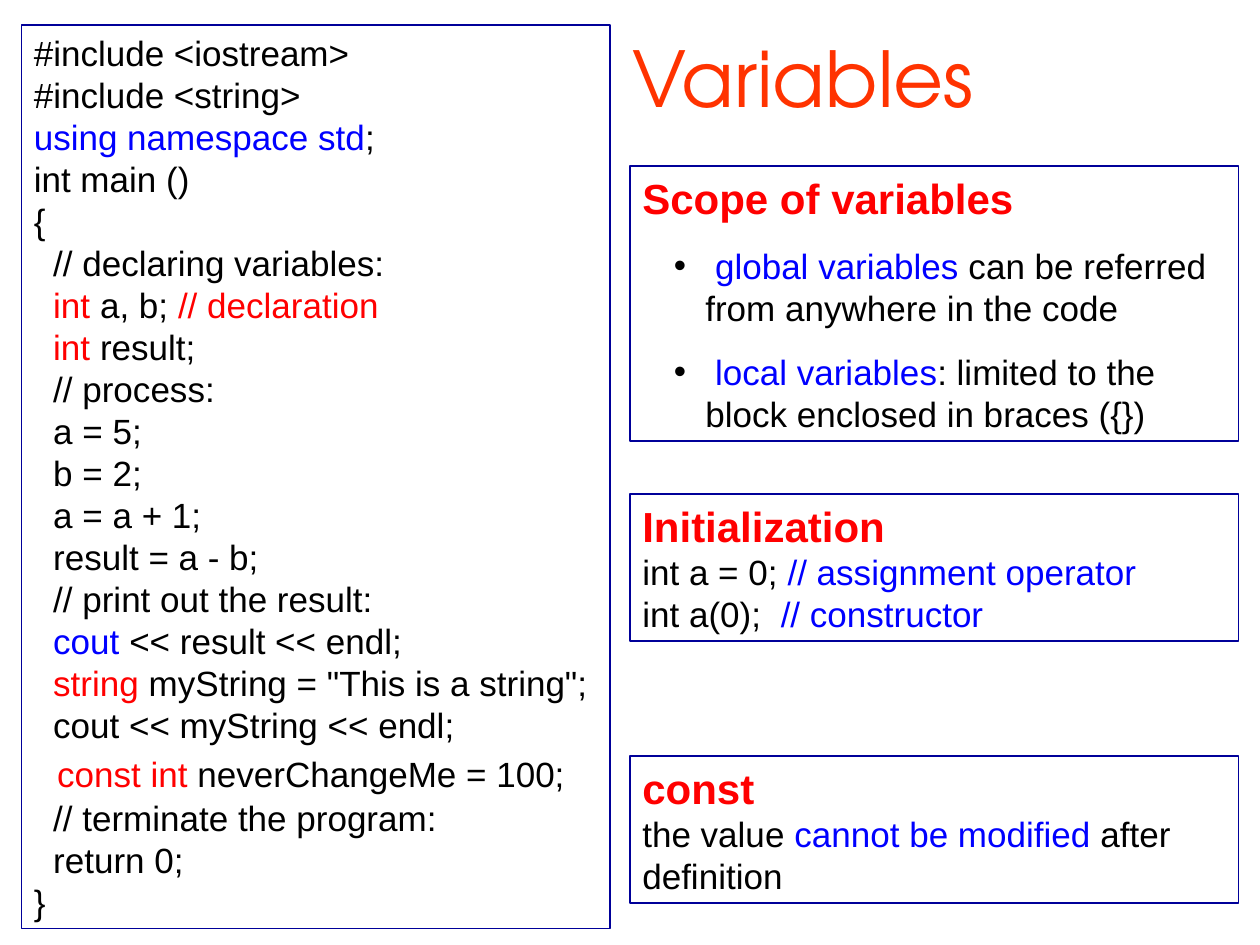
from lxml import etree
from pptx import Presentation
from pptx.dml.color import RGBColor
from pptx.enum.shapes import MSO_SHAPE
from pptx.enum.text import MSO_ANCHOR, MSO_AUTO_SIZE, PP_ALIGN
from pptx.oxml.ns import qn
from pptx.util import Inches, Pt

BLACK = RGBColor(0x00, 0x00, 0x00)
BLUE = RGBColor(0x00, 0x00, 0xFF)
RED = RGBColor(0xFF, 0x00, 0x00)
NAVY = RGBColor(0x00, 0x00, 0x99)
ORANGE = RGBColor(0xFF, 0x33, 0x00)

BODY_SIZE = 20
HEADING_SIZE = 24

# A line is a list of runs: (text, colour) or (text, colour, size).
PROGRAM = [
    [("#include <iostream>", BLACK)],
    [("#include <string>", BLACK)],
    [("using namespace std", BLUE), (";", BLACK)],
    [("int main ()", BLACK)],
    [("{", BLACK)],
    [("  // declaring variables:", BLACK)],
    [("  int ", RED), ("a, b; ", BLACK), ("// declaration", RED)],
    [("  int", RED), (" result;", BLACK)],
    [("  // process:", BLACK)],
    [("  a = 5;", BLACK)],
    [("  b = 2;", BLACK)],
    [("  a = a + 1;", BLACK)],
    [("  result = a - b;", BLACK)],
    [("  // print out the result:", BLACK)],
    [("  cout", BLUE), (" << result << endl;", BLACK)],
    [("  string", RED), (' myString = "This is a string";', BLACK)],
    [("  cout << myString << endl;", BLACK)],
    [("  ", BLACK, HEADING_SIZE), ("const int", RED), (" neverChangeMe = 100;", BLACK)],
    [("  // terminate the program:", BLACK)],
    [("  return 0;", BLACK)],
    [("}", BLACK)],
]
SCOPE = [
    [(" ", BLACK), ("global variables", BLUE),
     (" can be referred from anywhere in the code", BLACK)],
    [(" ", BLACK), ("local variables", BLUE),
     (": limited to the block enclosed in braces ({})", BLACK)],
]
INITIALIZATION = [
    [("int a = 0; ", BLACK), ("// assignment operator", BLUE)],
    [("int a(0);  ", BLACK), ("// constructor", BLUE)],
]
CONSTANT = [
    [("the value ", BLACK), ("cannot be modified", BLUE), (" after definition", BLACK)],
]


class SlideBuilder:
    font = "Arial"
    title_font = "TeX Gyre Adventor"

    def __init__(self, slide):
        self.slide = slide

    def title(self, text, left, top, width, height):
        box = self.slide.shapes.add_textbox(
            Inches(left), Inches(top), Inches(width), Inches(height))
        frame = box.text_frame
        frame.word_wrap = True
        frame.vertical_anchor = MSO_ANCHOR.MIDDLE
        frame.text = text
        font = frame.paragraphs[0].runs[0].font
        font.name, font.size = self.title_font, Pt(44)
        font.color.rgb = ORANGE

    def frame(self, left, top, width, height, anchor=MSO_ANCHOR.TOP):
        """Draw an outlined box and return its empty text frame."""
        box = self.slide.shapes.add_shape(
            MSO_SHAPE.RECTANGLE, Inches(left), Inches(top), Inches(width), Inches(height))
        box.shadow.inherit = False
        box.fill.background()
        box.line.color.rgb = NAVY
        box.line.width = Pt(1)
        text_frame = box.text_frame
        text_frame.word_wrap = True
        text_frame.auto_size = MSO_AUTO_SIZE.SHAPE_TO_FIT_TEXT
        text_frame.vertical_anchor = anchor
        return text_frame

    def line(self, paragraph, runs, bold=False):
        paragraph.alignment = PP_ALIGN.LEFT
        for text, color, *size in runs:
            run = paragraph.add_run()
            run.text = text
            font = run.font
            font.name, font.bold = self.font, bold
            font.size = Pt(size[0] if size else BODY_SIZE)
            font.color.rgb = color

    def bullet(self, paragraph):
        paragraph.level = 1
        paragraph.space_before = Pt(12.5)
        properties = paragraph._p.get_or_add_pPr()
        properties.set("marL", str(Inches(0.5)))
        properties.set("indent", str(Inches(-0.25)))
        bullet_color = etree.SubElement(properties, qn("a:buClr"))
        etree.SubElement(bullet_color, qn("a:srgbClr"), val=str(BLACK))
        etree.SubElement(properties, qn("a:buFont"), typeface=self.font)
        etree.SubElement(properties, qn("a:buChar"), char="•")

    def code(self, lines, left, top, width, height):
        text_frame = self.frame(left, top, width, height, MSO_ANCHOR.MIDDLE)
        for index, runs in enumerate(lines):
            paragraph = text_frame.add_paragraph() if index else text_frame.paragraphs[0]
            self.line(paragraph, runs)

    def note(self, heading, lines, top, height, bulleted=False):
        """Add a box of the right column: a heading over its lines."""
        text_frame = self.frame(5, top, 4.83, height)
        self.line(text_frame.paragraphs[0], [(heading, RED, HEADING_SIZE)], bold=True)
        for runs in lines:
            paragraph = text_frame.add_paragraph()
            if bulleted:
                self.bullet(paragraph)
            self.line(paragraph, runs)


def main():
    presentation = Presentation()
    presentation.slide_width = Inches(10)
    presentation.slide_height = Inches(7.5)
    builder = SlideBuilder(presentation.slides.add_slide(presentation.slide_layouts[6]))

    builder.title("Variables", 4.92, 0.25, 4.42, 0.71)
    builder.code(PROGRAM, 0.17, 0.2, 4.67, 7.17)
    builder.note("Scope of variables", SCOPE, 1.32, 2.18, bulleted=True)
    builder.note("Initialization", INITIALIZATION, 3.92, 1.17)
    builder.note("const", CONSTANT, 6, 1.17)

    presentation.save("out.pptx")


if __name__ == "__main__":
    main()
